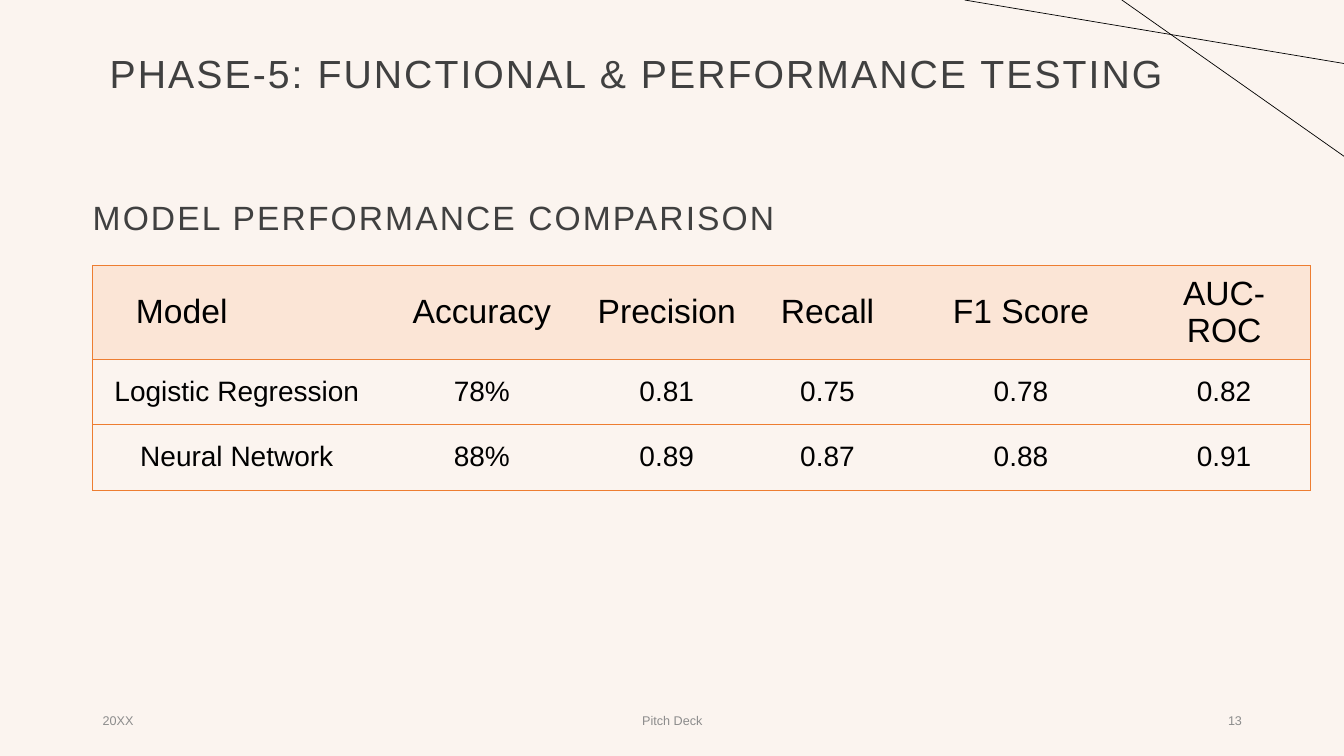
"""Build the model performance comparison slide."""
from lxml.etree import SubElement
from pptx import Presentation
from pptx.dml.color import RGBColor
from pptx.enum.shapes import MSO_CONNECTOR
from pptx.enum.text import MSO_ANCHOR, MSO_AUTO_SIZE, PP_ALIGN
from pptx.oxml.ns import qn
from pptx.util import Pt

WIDTH, HEIGHT = 960, 540
LEFT = 66.24
INK, BLACK, GREY = "404040", "000000", "8C8C8C"
ORANGE, PEACH, CREAM = "ED7D31", "FBE5D6", "FBF4EF"
COLUMN_WIDTHS = [205.92, 144, 120.24, 109.44, 167.04, 123.12]
ROW_HEIGHTS = [66.6, 46.8, 46.8]
SCORES = [
    ["Model", "Accuracy", "Precision", "Recall", "F1 Score", "AUC-ROC"],
    ["Logistic Regression", "78%", "0.81", "0.75", "0.78", "0.82"],
    ["Neural Network", "88%", "0.89", "0.87", "0.88", "0.91"],
]
FOOTERS = [
    ("20XX", LEFT, 216, PP_ALIGN.LEFT),
    ("Pitch Deck", 318.24, 324, PP_ALIGN.CENTER),
    ("13", 678.24, 216, PP_ALIGN.RIGHT),
]
RAYS = [((801.36, 0), (WIDTH, 111.6)), ((689.04, 0), (WIDTH, 45.36))]


def color(hex_code):
    """Turn a hex string into a colour."""
    return RGBColor.from_string(hex_code)


def apply(target, formats):
    """Set each format value on the target."""
    for name, value in formats.items():
        setattr(target, name, value)


def write(frame, words, size, ink, align=PP_ALIGN.LEFT):
    """Write one formatted paragraph into a text frame."""
    line = frame.paragraphs[0]
    line.alignment = align
    run = line.add_run()
    run.text = words
    apply(run.font, {"size": Pt(size), "name": "Arial", "bold": False})
    run.font.color.rgb = color(ink)
    return line, run


def add_heading(shape, words, size, box, formats):
    """Place a heading with wide letter spacing."""
    apply(shape, dict(zip(("left", "top", "width", "height"), map(Pt, box))))
    apply(shape.text_frame, {"word_wrap": True, **formats})
    line, run = write(shape.text_frame, words, size, INK)
    line.line_spacing = 0.9
    run._r.get_or_add_rPr().set("spc", "150")


def add_footer(slide, words, left, width, align):
    """Add one small footer text."""
    footer = slide.shapes.add_textbox(Pt(left), Pt(500.4), Pt(width), Pt(28.8))
    apply(footer.text_frame, {"word_wrap": True, "vertical_anchor": MSO_ANCHOR.MIDDLE})
    write(footer.text_frame, words, 9, GREY, align)


def add_ray(slide, start, end):
    """Add a thin black corner line."""
    ray = slide.shapes.add_connector(MSO_CONNECTOR.STRAIGHT, *map(Pt, start + end))
    ray.line.color.rgb = color(BLACK)
    ray.line.width = Pt(0.5)
    SubElement(ray._element.spPr, qn("a:effectLst"))


def add_border(cell, side, shown):
    """Draw or clear one side of a cell."""
    edge = SubElement(cell._tc.get_or_add_tcPr(), qn(f"a:ln{side}"), w=str(Pt(0.5)))
    if shown:
        fill = SubElement(edge, qn("a:solidFill"))
        SubElement(fill, qn("a:srgbClr"), val=ORANGE)
    else:
        SubElement(edge, qn("a:noFill"))


def format_cell(cell, words, is_header, is_first, is_last):
    """Fill, border and write one table cell."""
    for side, shown in (("L", is_first), ("R", is_last), ("T", True), ("B", True)):
        add_border(cell, side, shown)
    if is_header:
        cell.fill.solid()
        cell.fill.fore_color.rgb = color(PEACH)
    else:
        cell.fill.background()
    cell.vertical_anchor = MSO_ANCHOR.MIDDLE
    write(cell.text_frame, words, 24 if is_header else 20, BLACK, PP_ALIGN.CENTER)


def add_scores(slide):
    """Add the table of model scores."""
    frame = slide.shapes.add_table(
        len(SCORES), len(COLUMN_WIDTHS), Pt(LEFT), Pt(189.72),
        Pt(sum(COLUMN_WIDTHS)), Pt(sum(ROW_HEIGHTS)))
    scores = frame.table
    apply(scores, {"first_row": False, "horz_banding": False})
    for column, width in zip(scores.columns, COLUMN_WIDTHS):
        column.width = Pt(width)
    for row, height in zip(scores.rows, ROW_HEIGHTS):
        row.height = Pt(height)
    last = len(COLUMN_WIDTHS) - 1
    for r, entries in enumerate(SCORES):
        for c, words in enumerate(entries):
            format_cell(scores.cell(r, c), words, r == 0, c == 0, c == last)
    scores.cell(0, 0).margin_right = Pt(86)


def main():
    """Build and save the slide."""
    deck = Presentation()
    apply(deck, {"slide_width": Pt(WIDTH), "slide_height": Pt(HEIGHT)})
    slide = deck.slides.add_slide(deck.slide_layouts[5])
    slide.background.fill.solid()
    slide.background.fill.fore_color.rgb = color(CREAM)
    add_heading(slide.shapes.title, "MODEL PERFORMANCE COMPARISON", 24,
                (LEFT, 133.92, 828, 45.36),
                {"margin_left": 0, "vertical_anchor": MSO_ANCHOR.MIDDLE,
                 "auto_size": MSO_AUTO_SIZE.NONE})
    for footer in FOOTERS:
        add_footer(slide, *footer)
    for ray in RAYS:
        add_ray(slide, *ray)
    add_scores(slide)
    phase = slide.shapes.add_textbox(0, 0, 0, 0)
    add_heading(phase, "PHASE-5: FUNCTIONAL & PERFORMANCE TESTING", 28,
                (71.28, 34.56, 864.72, 38.16),
                {"vertical_anchor": MSO_ANCHOR.BOTTOM,
                 "auto_size": MSO_AUTO_SIZE.SHAPE_TO_FIT_TEXT})
    deck.save("out.pptx")


if __name__ == "__main__":
    main()
